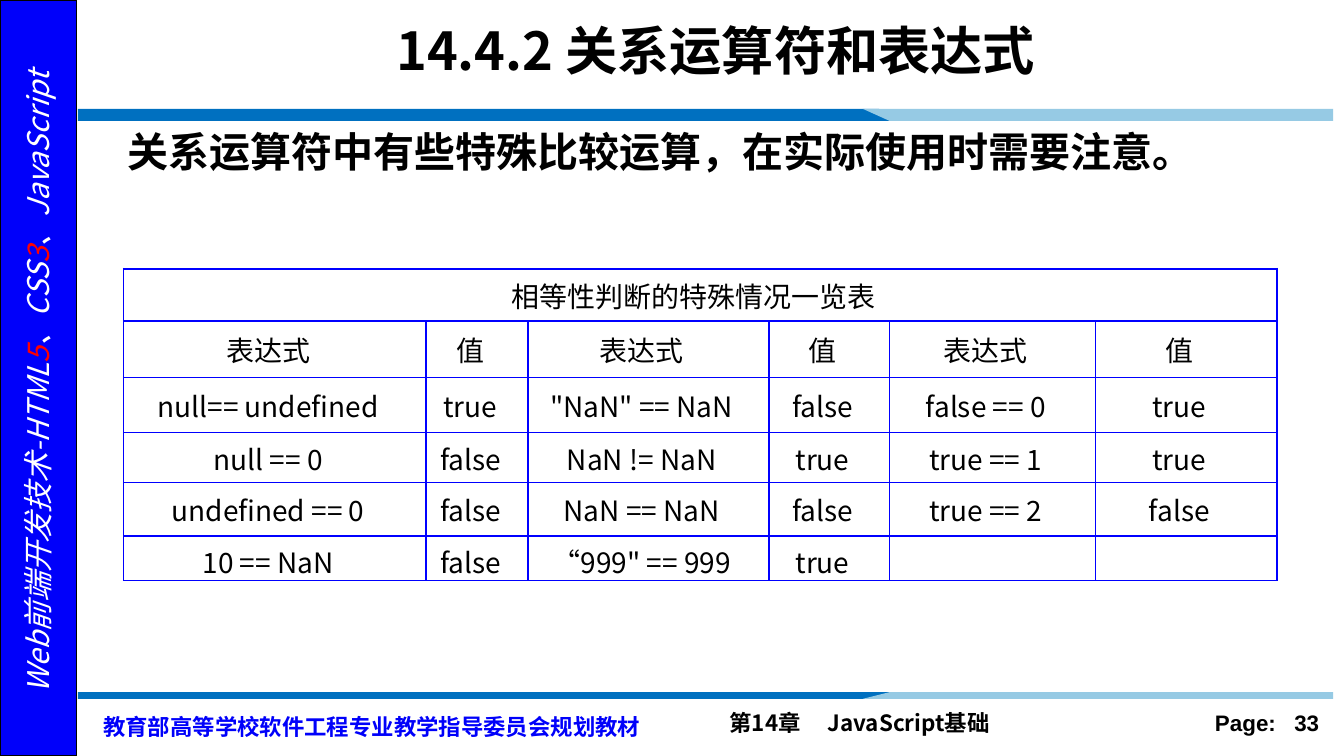
from pptx import Presentation
from pptx.dml.color import RGBColor
from pptx.enum.shapes import MSO_SHAPE as Shape
from pptx.enum.text import MSO_ANCHOR as Anchor, PP_ALIGN as Align
from pptx.oxml.ns import qn
from pptx.util import Inches, Pt
from lxml.etree import SubElement

COLORS = {
    "black": "000000", "white": "FFFFFF", "red": "FF0000", "sidebar": "0000FA",
    "border": "0000FF", "band": "0070C0", "band_light": "96CAE4",
}
CJK = "Noto Sans CJK SC"
TABLE_SIZE = 15
WIDTH = 10
HEIGHT = WIDTH * 9 / 16


def rgb(name):
    return RGBColor.from_string(COLORS[name])


class SlideBuilder:
    def __init__(self, slide):
        self.slide = slide
        self.shapes = slide.shapes

    def style(self, run, size, color="black", bold=False, italic=False, font=CJK):
        run.font.size = Pt(size)
        run.font.bold = bold
        run.font.italic = italic
        run.font.name = font
        run.font.color.rgb = rgb(color)
        SubElement(run.font._element, qn("a:ea"), typeface=font)

    def text(self, box, parts, size, align=Align.LEFT, anchor=Anchor.TOP,
             inset=0.1, tab=None, spacing=None, rotation=0, **look):
        """Add a text box; parts is a list of (words, colour)."""
        label = self.shapes.add_textbox(*map(Inches, box))
        label.rotation = rotation
        frame = label.text_frame
        frame.word_wrap = True
        frame.vertical_anchor = anchor
        frame.margin_left = Inches(inset)
        paragraph = frame.paragraphs[0]
        paragraph.alignment = align
        if spacing:
            paragraph.line_spacing = Pt(spacing)
        if tab:
            stops = SubElement(paragraph._p.get_or_add_pPr(), qn("a:tabLst"))
            SubElement(stops, qn("a:tab"), pos=str(Inches(tab)), algn="l")
        for words, color in parts:
            run = paragraph.add_run()
            run.text = words
            self.style(run, size, color, **look)

    def rectangle(self, box, fill, line):
        panel = self.shapes.add_shape(Shape.RECTANGLE, *map(Inches, box))
        panel.shadow.inherit = False
        panel.fill.solid()
        panel.fill.fore_color.rgb = rgb(fill)
        panel.line.color.rgb = rgb(line)
        panel.line.width = Pt(1)

    def polygon(self, points, fill):
        start, *rest = [(Inches(x), Inches(y)) for x, y in points]
        outline = self.shapes.build_freeform(*start)
        outline.add_line_segments(rest, close=True)
        band = outline.convert_to_shape()
        band.shadow.inherit = False
        band.fill.solid()
        band.fill.fore_color.rgb = rgb(fill)
        band.line.fill.background()

    def divider(self, outer, inner):
        """Two-tone band whose halves meet on a slant."""
        self.polygon([(0.58, outer), (6.54, outer), (6.72, inner), (0.58, inner)], "band")
        self.polygon([(6.42, outer), (9.92, outer), (9.92, inner), (6.62, inner)], "band_light")

    def border(self, cell):
        properties = cell._tc.get_or_add_tcPr()
        for side in ("lnL", "lnR", "lnT", "lnB"):
            line = SubElement(properties, qn(f"a:{side}"), w=str(Pt(1)))
            fill = SubElement(line, qn("a:solidFill"))
            SubElement(fill, qn("a:srgbClr"), val=COLORS["border"])

    def table(self, box, widths, heights, rows):
        grid = self.shapes.add_table(len(rows), len(widths), *map(Inches, box)).table
        grid.first_row = grid.horz_banding = False
        for column, width in zip(grid.columns, widths):
            column.width = Inches(width)
        for row, height in zip(grid.rows, heights):
            row.height = Inches(height)
        grid.cell(0, 0).merge(grid.cell(0, len(widths) - 1))
        for r, row in enumerate(rows):
            for c, words in enumerate(row):
                cell = grid.cell(r, c)
                self.border(cell)
                cell.fill.background()
                cell.vertical_anchor = Anchor.MIDDLE
                cell.margin_left = 0
                cell.margin_right = Inches(0.1)
                cell.margin_top = Inches(0.04)
                # The last row is too low for a bottom margin
                cell.margin_bottom = Inches(0 if r == len(rows) - 1 else 0.04)
                paragraph = cell.text_frame.paragraphs[0]
                paragraph.alignment = Align.CENTER
                if words:
                    paragraph.text = words
                    self.style(paragraph.runs[0], TABLE_SIZE)
                else:
                    paragraph._p.get_or_add_endParaRPr().set("sz", str(TABLE_SIZE * 100))


def main():
    deck = Presentation()
    deck.slide_width, deck.slide_height = Inches(WIDTH), Inches(HEIGHT)
    page = SlideBuilder(deck.slides.add_slide(deck.slide_layouts[6]))

    # Footer
    page.text((5.33, 5.23, 3.29, 0.3), [("第14章\tJavaScript基础", "black")], 12,
              tab=0.73, bold=True)
    page.text((8.67, 5.23, 1.25, 0.3), [("Page:\t33", "black")], 12,
              inset=0.37, tab=0.59, bold=True, font="Arial")
    page.text((0.67, 5.21, 4.33, 0.35),
              [("教育部高等学校软件工程专业教学指导委员会规划教材", "sidebar")], 12,
              spacing=18, bold=True)

    # Sidebar with the book title
    page.rectangle((0, 0, 0.57, HEIGHT), "sidebar", "black")
    book_title = [("Web前端开发技术-HTML", "white"), ("5", "red"), ("、CSS", "white"),
                  ("3", "red"), ("、JavaScript", "white")]
    page.text((-2.31, 2.66, 5.19, 0.37), book_title, 16, Align.CENTER,
              rotation=270, italic=True)

    # Bands under the title and above the footer
    page.divider(0.81, 0.9)
    page.divider(5.2, 5.15)

    # Title
    page.text((1.08, 0.06, 8.49, 0.62), [("14.4.2 关系运算符和表达式", "black")], 28,
              Align.CENTER, Anchor.MIDDLE, bold=True)

    # Special cases of equality
    cases = [
        ["相等性判断的特殊情况一览表"] + [""] * 5,
        ["表达式", "值"] * 3,
        ["null== undefined", "true", '"NaN" == NaN', "false", "false == 0", "true"],
        ["null == 0", "false", "NaN != NaN", "true", "true == 1", "true"],
        ["undefined == 0", "false", "NaN == NaN", "false", "true == 2", "false"],
        ["10 == NaN", "false", '“999" == 999', "true", "", ""],
    ]
    page.table((0.92, 2, 8.58, 2.31), [2.25, 0.76, 1.79, 0.9, 1.53, 1.35],
               [0.39, 0.42, 0.41, 0.37, 0.4, 0.33], cases)

    # Lead sentence
    page.text((0.58, 0.89, 9.33, 0.47),
              [("关系运算符中有些特殊比较运算，在实际使用时需要注意。", "black")], 22,
              inset=0.37, bold=True)

    deck.save("out.pptx")


if __name__ == "__main__":
    main()
